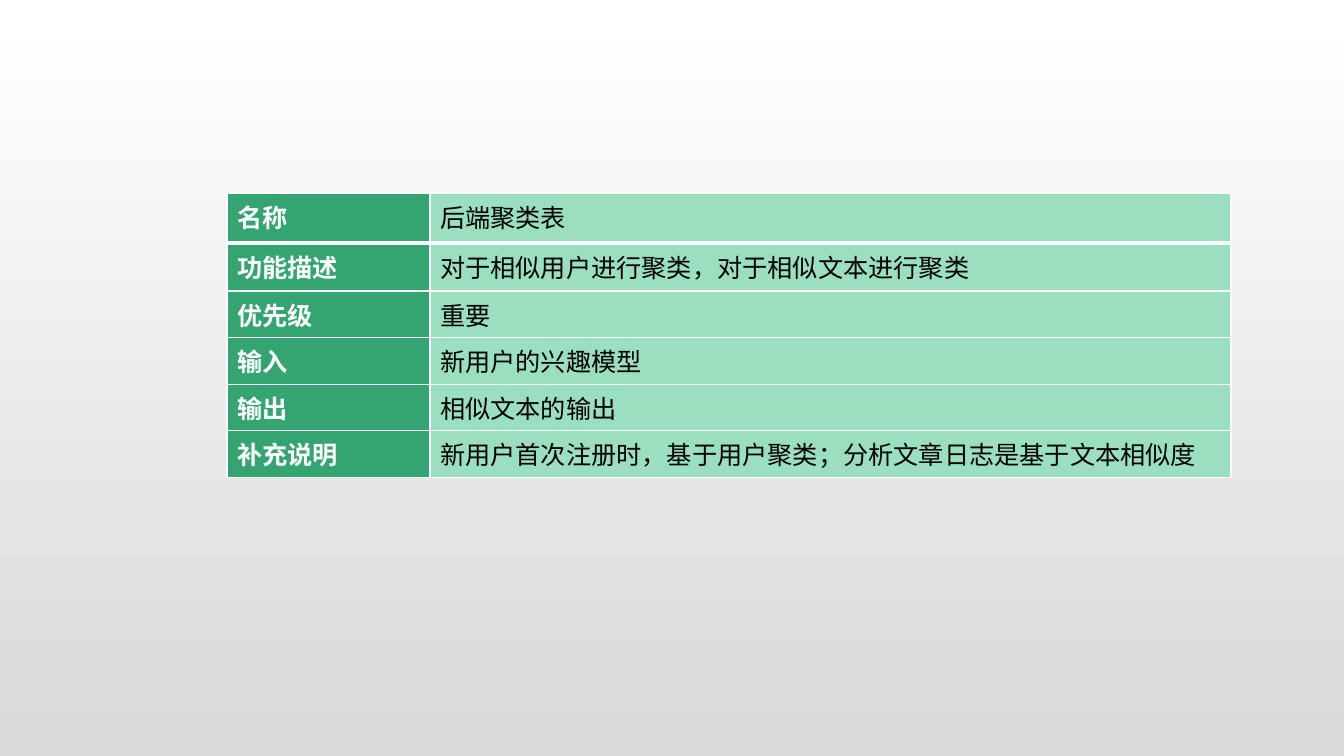
import pptx
import pptx.dml.color
import pptx.oxml
import pptx.oxml.ns
import pptx.util

ROWS = [
    ("名称", "后端聚类表"),
    ("功能描述", "对于相似用户进行聚类，对于相似文本进行聚类"),
    ("优先级", "重要"),
    ("输入", "新用户的兴趣模型"),
    ("输出", "相似文本的输出"),
    ("补充说明", "新用户首次注册时，基于用户聚类；分析文章日志是基于文本相似度"),
]
PAGE_SIZE = (1344, 756)
TABLE_LEFT, TABLE_TOP = 227, 193
COLUMN_WIDTHS = (203, 801)
ROW_HEIGHTS = (50, 48, 42, 42, 42, 42)
BACKGROUND = ("FFFFFF", "D9D9D9")
LABEL_STYLE = dict(fill="34A471", color="FFFFFF", bold=True)
VALUE_STYLE = dict(fill="9ADFBF", color="000000", bold=False)
BORDER_COLOR = "FFFFFF"
THIN, THICK = 1, 3


def px(length):
    return pptx.util.Emu(round(length * 914400 / 100.8))


def rgb(value):
    return pptx.dml.color.RGBColor.from_string(value)


def write_text(frame, text, *, size=18, font="Arial", color, bold):
    span = frame.paragraphs[0].add_run()
    span.text = text
    span.font.size = pptx.util.Pt(size)
    span.font.name = font
    span.font.bold = bold
    span.font.color.rgb = rgb(color)


def add_border(cell, side, width):
    """Draw one side of a cell: L, R, T or B, with the width in points."""
    properties = cell._tc.get_or_add_tcPr()
    properties.append(pptx.oxml.parse_xml(
        f'<a:ln{side} {pptx.oxml.ns.nsdecls("a")} w="{pptx.util.Pt(width)}">'
        f'<a:solidFill><a:srgbClr val="{BORDER_COLOR}"/></a:solidFill>'
        f'</a:ln{side}>'))


def fill_background(page):
    fill = page.background.fill
    fill.gradient()
    fill.gradient_angle = 270
    for stop, color in zip(fill.gradient_stops, BACKGROUND):
        stop.color.rgb = rgb(color)


def add_feature_table(page):
    table = page.shapes.add_table(
        len(ROWS), len(COLUMN_WIDTHS), px(TABLE_LEFT), px(TABLE_TOP),
        px(sum(COLUMN_WIDTHS)), px(sum(ROW_HEIGHTS))).table
    table.horz_banding = False
    for column, width in zip(table.columns, COLUMN_WIDTHS):
        column.width = px(width)
    for index, (texts, height) in enumerate(zip(ROWS, ROW_HEIGHTS)):
        table.rows[index].height = px(height)
        top = THICK if index == 1 else THIN
        bottom = THICK if index == 0 else THIN
        borders = {"L": THIN, "R": THIN, "T": top, "B": bottom}
        for cell, text, style in zip(table.rows[index].cells, texts,
                                     (LABEL_STYLE, VALUE_STYLE)):
            for side, width in borders.items():
                add_border(cell, side, width)
            cell.fill.solid()
            cell.fill.fore_color.rgb = rgb(style["fill"])
            write_text(cell.text_frame, text,
                       color=style["color"], bold=style["bold"])


def main():
    deck = pptx.Presentation()
    deck.slide_width, deck.slide_height = map(px, PAGE_SIZE)
    page = deck.slides.add_slide(deck.slide_layouts[6])
    fill_background(page)
    add_feature_table(page)
    deck.save("out.pptx")


if __name__ == "__main__":
    main()
